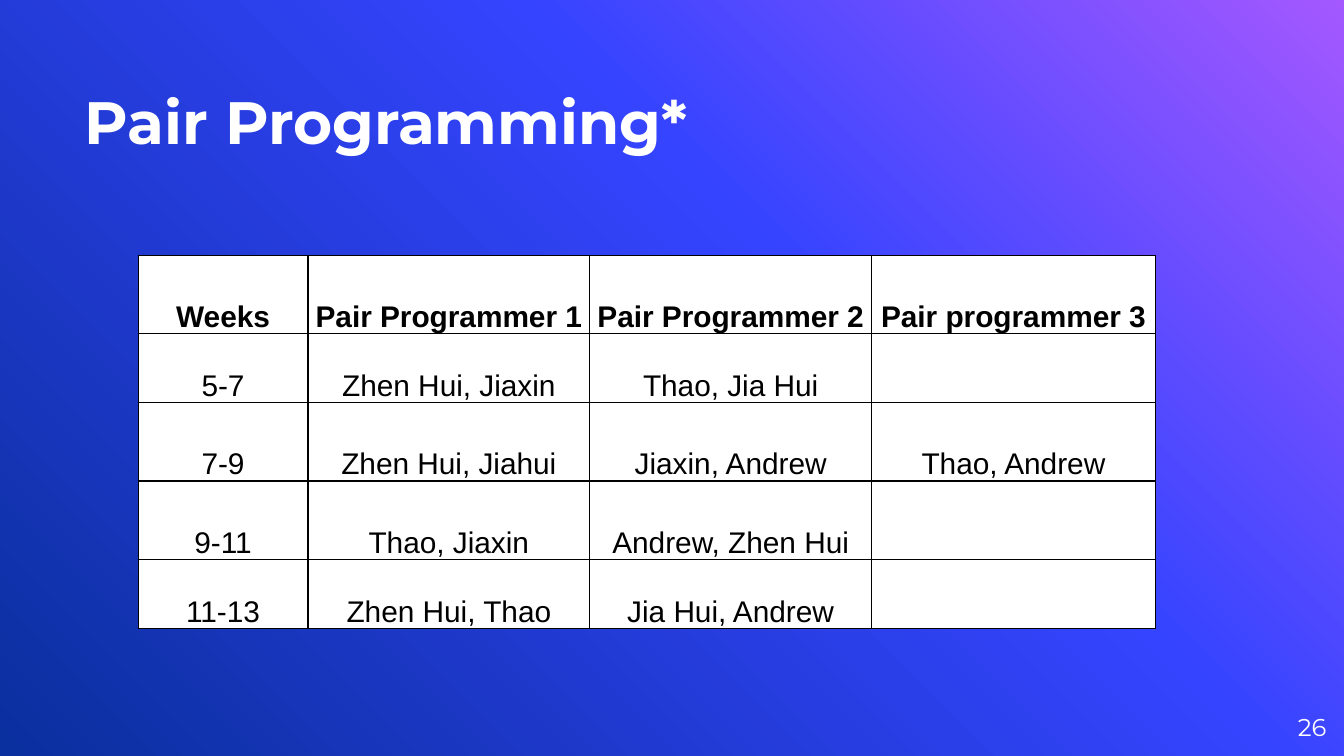
import copy
import dataclasses

import pptx
import pptx.dml.color
import pptx.enum.text
import pptx.oxml
import pptx.oxml.ns
import pptx.util

Pt = pptx.util.Pt
Align = pptx.enum.text.PP_ALIGN
Anchor = pptx.enum.text.MSO_ANCHOR


@dataclasses.dataclass(frozen=True)
class Theme:
    light: str = "FFFFFF"
    dark: str = "000000"
    gradient: tuple = ((0, "A458FF"), (0.39, "3544FF"), (1, "0A2F9E"))
    heading_font: str = "Montserrat"
    table_font: str = "Arial"
    title_size: int = 32
    table_size: int = 16
    number_size: int = 13
    border_width: float = 0.75


THEME = Theme()
COLUMN_WIDTHS = (91, 151, 151, 152)
ROW_HEIGHTS = (42, 37, 42, 42, 37)
SCHEDULE = (
    ("Weeks", "Pair Programmer 1", "Pair Programmer 2", "Pair programmer 3"),
    ("5-7", "Zhen Hui, Jiaxin", "Thao, Jia Hui", ""),
    ("7-9", "Zhen Hui, Jiahui", "Jiaxin, Andrew", "Thao, Andrew"),
    ("9-11", "Thao, Jiaxin", "Andrew, Zhen Hui", ""),
    ("11-13", "Zhen Hui, Thao", "Jia Hui, Andrew", ""),
)


def rgb(value):
    return pptx.dml.color.RGBColor.from_string(value)


def write_text(frame, text, *, size, font, color, bold=False, align=Align.LEFT):
    paragraph = frame.paragraphs[0]
    paragraph.alignment = align
    run = paragraph.add_run()
    run.text = text
    run.font.size = Pt(size)
    run.font.name = font
    run.font.bold = bold
    run.font.color.rgb = rgb(color)


def set_frame(frame, anchor):
    """Wrap the text, remove the margins and set the vertical anchor."""
    frame.word_wrap = True
    frame.auto_size = pptx.enum.text.MSO_AUTO_SIZE.NONE
    frame.margin_left = frame.margin_right = 0
    frame.margin_top = frame.margin_bottom = 0
    frame.vertical_anchor = anchor


def fill_background(slide):
    fill = slide.background.fill
    fill.gradient()
    fill.gradient_angle = 225
    stop_list = slide.element.find(".//" + pptx.oxml.ns.qn("a:gsLst"))
    stop_list.append(copy.deepcopy(stop_list[0]))
    for stop, (position, color) in zip(fill.gradient_stops, THEME.gradient):
        stop.position = position
        stop.color.rgb = rgb(color)


def place_title(slide, text, left, top, width, height):
    title = slide.shapes.title
    title.left, title.top = Pt(left), Pt(top)
    title.width, title.height = Pt(width), Pt(height)
    set_frame(title.text_frame, Anchor.BOTTOM)
    write_text(title.text_frame, text, size=THEME.title_size,
               font=THEME.heading_font, color=THEME.light, bold=True)


def add_borders(cell):
    properties = cell._tc.get_or_add_tcPr()
    namespace = pptx.oxml.ns.nsdecls("a")
    for index, side in enumerate(("lnL", "lnR", "lnT", "lnB")):
        line = pptx.oxml.parse_xml(
            f'<a:{side} {namespace} w="{Pt(THEME.border_width)}">'
            f'<a:solidFill><a:srgbClr val="{THEME.dark}"/></a:solidFill>'
            f'</a:{side}>')
        properties.insert(index, line)


def add_schedule(slide, rows, left, top):
    frame = slide.shapes.add_table(
        len(rows), len(COLUMN_WIDTHS), Pt(left), Pt(top),
        Pt(sum(COLUMN_WIDTHS)), Pt(sum(ROW_HEIGHTS)))
    table = frame.table
    table.horz_banding = False
    for column, width in zip(table.columns, COLUMN_WIDTHS):
        column.width = Pt(width)
    for row_index, (row, height, texts) in enumerate(
            zip(table.rows, ROW_HEIGHTS, rows)):
        row.height = Pt(height)
        for cell, text in zip(row.cells, texts):
            cell.fill.solid()
            cell.fill.fore_color.rgb = rgb(THEME.light)
            cell.margin_left = cell.margin_right = Pt(2)
            cell.margin_top = cell.margin_bottom = 0
            cell.vertical_anchor = Anchor.BOTTOM
            add_borders(cell)
            if text:
                write_text(cell.text_frame, text, size=THEME.table_size,
                           font=THEME.table_font, color=THEME.dark,
                           bold=row_index == 0, align=Align.CENTER)


def add_page_number(slide, number, left, top, width, height):
    box = slide.shapes.add_textbox(Pt(left), Pt(top), Pt(width), Pt(height))
    set_frame(box.text_frame, Anchor.MIDDLE)
    write_text(box.text_frame, str(number), size=THEME.number_size,
               font=THEME.heading_font, color=THEME.light, align=Align.RIGHT)


def main():
    presentation = pptx.Presentation()
    presentation.slide_width, presentation.slide_height = Pt(720), Pt(405)
    slide = presentation.slides.add_slide(presentation.slide_layouts[5])
    fill_background(slide)
    add_page_number(slide, 26, 667.5, 374, 43, 31)
    place_title(slide, "Pair Programming*", 45.5, 16.5, 505, 67.5)
    add_schedule(slide, SCHEDULE, 74, 136.75)
    presentation.save("out.pptx")


if __name__ == "__main__":
    main()
